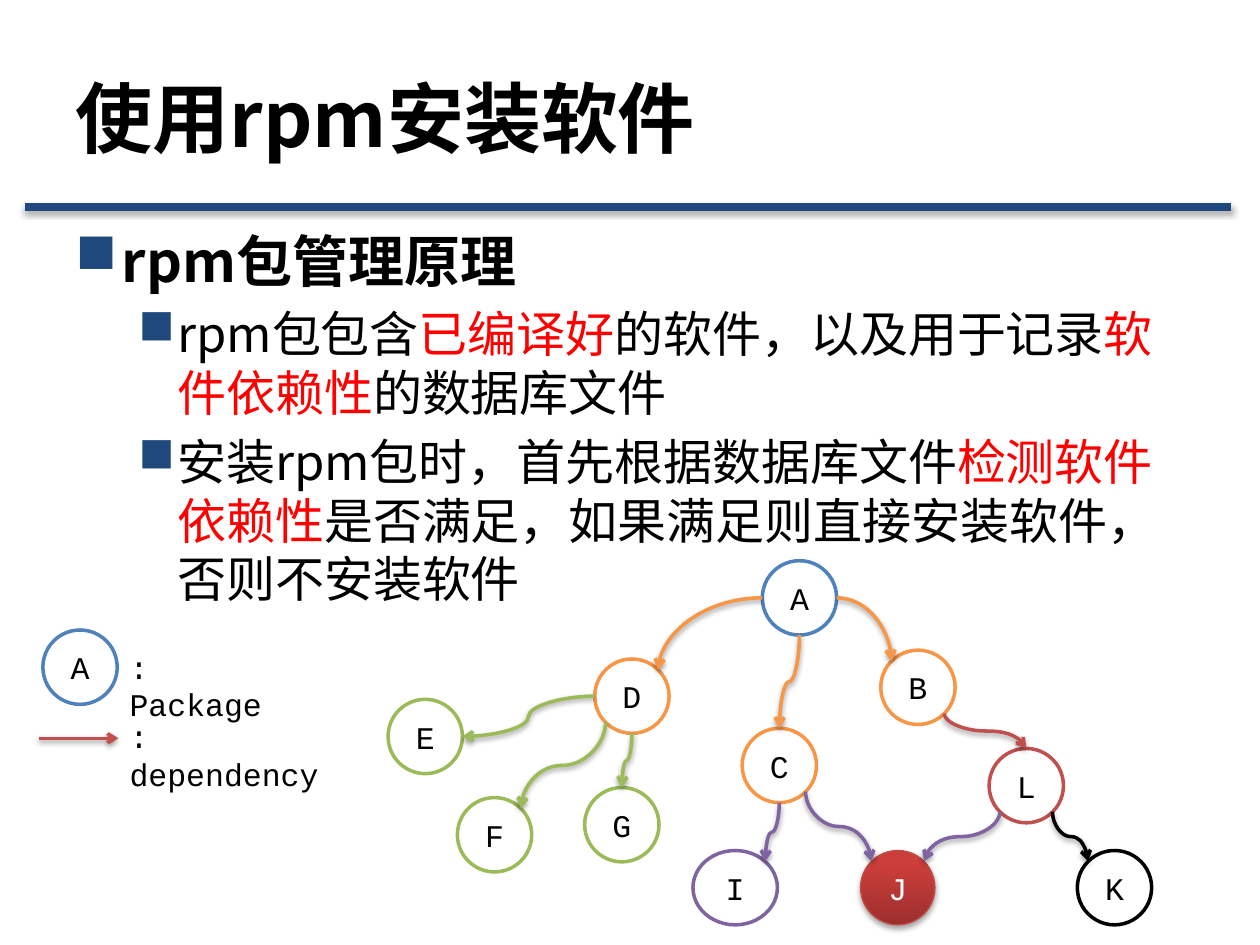
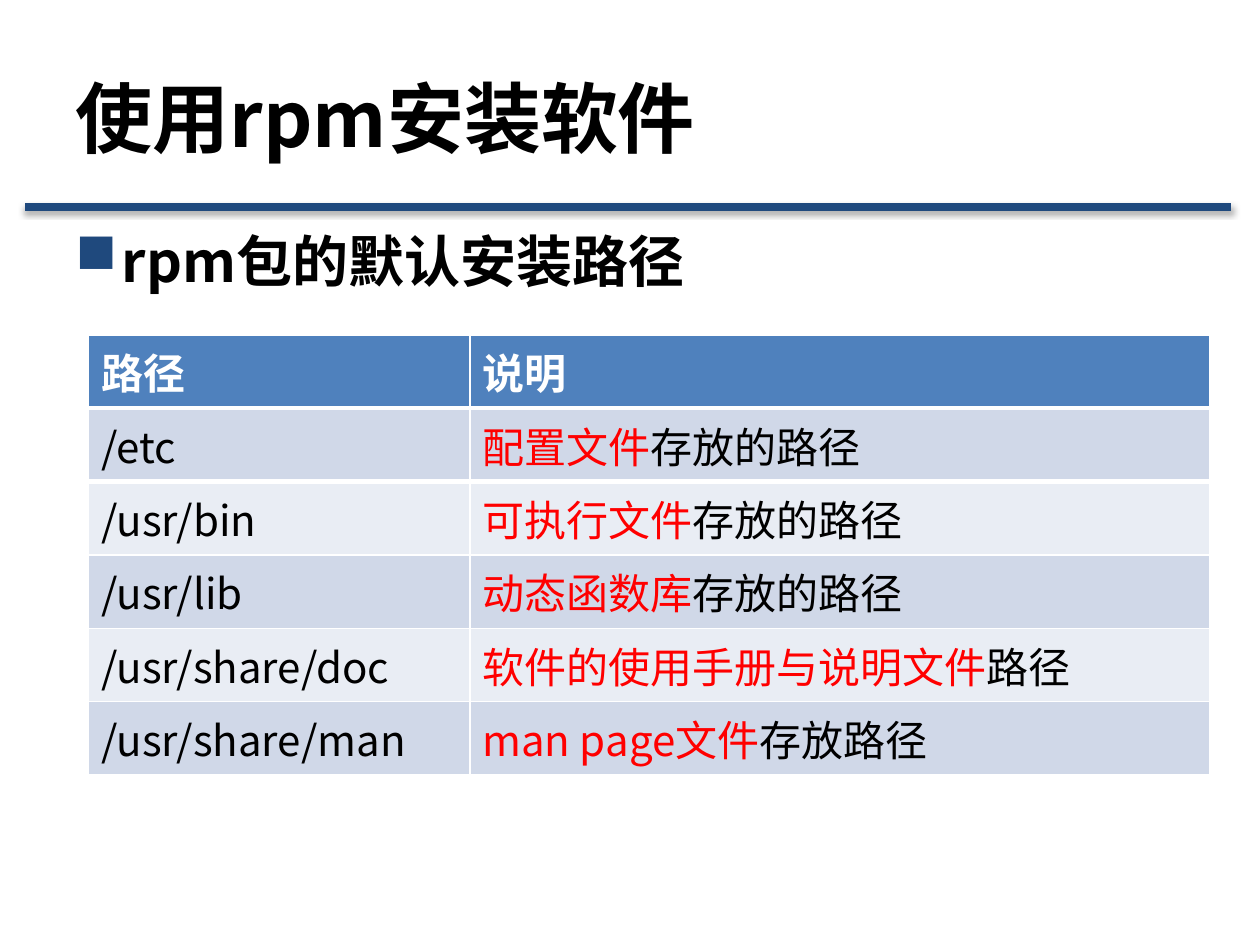
from dataclasses import dataclass
from math import sqrt

from lxml.etree import Element, SubElement
from pptx import Presentation
from pptx.dml.color import RGBColor
from pptx.enum.shapes import MSO_CONNECTOR, MSO_SHAPE
from pptx.enum.text import MSO_ANCHOR, PP_ALIGN
from pptx.oxml.ns import qn
from pptx.util import Emu, Inches, Pt

COLUMNS, ROWS = 100, 75
CELL = Inches(0.1)
SANS, MONO = "Noto Sans CJK SC", "Courier New"
BLACK, WHITE, RED, NAVY = "000000", "FFFFFF", "FF0000", "1F497D"
BLUE, ORANGE, GREEN = "4F81BD", "F79646", "9BBB59"
PURPLE, BRICK = "8064A2", "C0504D"
BANDS = ("E9EDF4", "D0D8E8")
TITLE_FONT = {"name": SANS, "size": Pt(44), "bold": True}
BODY_FONTS = (
    {"name": SANS, "size": Pt(32), "bold": True},
    {"name": SANS, "size": Pt(28), "bold": False},
)
HEADER_FONT = {"name": SANS, "size": Pt(24), "bold": True}
CELL_FONT = {**HEADER_FONT, "bold": False}
LABEL_FONT = {"name": MONO, "size": Pt(18)}
INDENTS = ((0.37, -0.37), (0.81, -0.31))
NODE_SIZE = 5.9
DIAGONAL = sqrt(0.5)
ANCHORS = {
    "left": (-1, 0), "right": (1, 0), "top": (0, -1), "bottom": (0, 1),
    "top left": (-DIAGONAL, -DIAGONAL), "top right": (DIAGONAL, -DIAGONAL),
    "bottom left": (-DIAGONAL, DIAGONAL), "bottom right": (DIAGONAL, DIAGONAL),
}


@dataclass
class Box:
    left: float
    top: float
    width: float
    height: float

    def inner(self, left, top, width, height):
        return Box(self.left + left, self.top + top, width, height)

    def lengths(self):
        return [cells(value) for value in (self.left, self.top, self.width, self.height)]

    def anchor(self, name):
        across, down = ANCHORS[name]
        return (self.left + self.width * (1 + across) / 2,
                self.top + self.height * (1 + down) / 2)


TITLE_BOX = Box(5, 3, 90, 12.5)
BODY_BOX = Box(5, 17.5, 90, 49.5)
TABLE_BOX = Box(7.03, 26.57, 89, 34.95)
DIAGRAM_BOX = Box(30.8, 44.5, 60.6, 28.9)
LEGEND_BOX = Box(3.1, 50, 25, 10.4)


def cells(count):
    return Emu(round(count * CELL))


def color(value):
    return RGBColor.from_string(value)


def apply_format(target, values):
    for name, value in values.items():
        setattr(target, name, value)


def add_runs(paragraph, runs, font, base=BLACK):
    for number, text in enumerate(runs):
        run = paragraph.add_run()
        run.text = text
        apply_format(run.font, font)
        run.font.color.rgb = color(RED if number % 2 else base)
        SubElement(run.font._element, qn("a:ea"), typeface=font["name"])


def add_shadow(shape, alpha, distance):
    properties = shape._element.spPr
    effects = properties.find(qn("a:effectLst"))
    if effects is None:
        effects = SubElement(properties, qn("a:effectLst"))
    shadow = SubElement(effects, qn("a:outerShdw"), blurRad="40000",
                        dist=str(distance), dir="5400000", rotWithShape="0")
    shade = SubElement(shadow, qn("a:srgbClr"), val=BLACK)
    SubElement(shade, qn("a:alpha"), val=str(alpha * 1000))


def add_text_box(slide, box, anchor=MSO_ANCHOR.TOP):
    frame = slide.shapes.add_textbox(*box.lengths()).text_frame
    apply_format(frame, {"word_wrap": True, "vertical_anchor": anchor})
    return frame


def add_line(slide, kind, start, end, line_color, width):
    points = [cells(value) for value in (*start, *end)]
    connector = slide.shapes.add_connector(kind, *points)
    connector.line.color.rgb = color(line_color)
    connector.line.width = Pt(width)
    return connector


def add_arrow(slide, start, end, line_color, route="across"):
    if route == "down":
        run, drop = end[0] - start[0], end[1] - start[1]
        middle = ((start[0] + end[0]) / 2, (start[1] + end[1]) / 2)
        side = 1 if run < 0 else -1
        start = (middle[0] - side * drop / 2, middle[1] - abs(run) / 2)
        end = (middle[0] + side * drop / 2, middle[1] + abs(run) / 2)
    arrow = add_line(slide, MSO_CONNECTOR.CURVE, start, end, line_color, 2)
    properties = arrow._element.spPr
    if route == "down":
        properties.find(qn("a:xfrm")).set("rot", str((90 if side > 0 else 270) * 60000))
    if route == "corner":
        properties.find(qn("a:prstGeom")).set("prst", "curvedConnector2")
    SubElement(properties.find(qn("a:ln")), qn("a:tailEnd"), type="arrow")
    add_shadow(arrow, 38, 20000)


def add_package(slide, box, letter, line_color, solid=False):
    shape = slide.shapes.add_shape(MSO_SHAPE.OVAL, *box.lengths())
    shape.shadow.inherit = False
    shape.line.color.rgb = color(line_color)
    shape.line.width = Pt(0.75 if solid else 2)
    if solid:
        shape.fill.gradient()
        shape.fill.gradient_angle = 90
        for stop, position, shade in zip(shape.fill.gradient_stops, (0, 0.8), ("9C2F2D", "CB3E3A")):
            stop.position = position
            stop.color.rgb = color(shade)
        add_shadow(shape, 35, 23000)
    else:
        shape.fill.solid()
        shape.fill.fore_color.rgb = color(WHITE)
    shape.text_frame.vertical_anchor = MSO_ANCHOR.MIDDLE
    paragraph = shape.text_frame.paragraphs[0]
    paragraph.alignment = PP_ALIGN.CENTER
    add_runs(paragraph, [letter], LABEL_FONT, WHITE if solid else BLACK)


def add_body(slide, box, lines):
    frame = add_text_box(slide, box)
    for number, (level, runs) in enumerate(lines):
        paragraph = frame.add_paragraph() if number else frame.paragraphs[0]
        font = BODY_FONTS[level]
        apply_format(paragraph, {"level": level, "space_before": Pt(font["size"].pt * 0.2)})
        properties = paragraph._p.get_or_add_pPr()
        for name, value in zip(("marL", "indent"), INDENTS[level]):
            properties.set(name, str(Inches(value)))
        bullet_color = SubElement(properties, qn("a:buClr"))
        SubElement(bullet_color, qn("a:srgbClr"), val=NAVY)
        SubElement(properties, qn("a:buFont"), typeface="Wingdings", charset="2")
        SubElement(properties, qn("a:buChar"), char="n")
        add_runs(paragraph, runs, font)


def add_base_slide(presentation, title, lines):
    slide = presentation.slides.add_slide(presentation.slide_layouts[6])
    band = add_line(slide, MSO_CONNECTOR.STRAIGHT, (2, 16.4), (97.7, 16.4), NAVY, 4.5)
    add_shadow(band, 35, 23000)
    frame = add_text_box(slide, TITLE_BOX, MSO_ANCHOR.MIDDLE)
    add_runs(frame.paragraphs[0], [title], TITLE_FONT)
    add_body(slide, BODY_BOX, lines)
    return slide


def add_diagram(slide, box):
    packages = (
        ("A", 29.7, 0, BLUE), ("D", 16.4, 7.8, ORANGE), ("C", 28.1, 13.3, ORANGE),
        ("B", 39.1, 7.1, ORANGE), ("F", 5.5, 18.8, GREEN), ("G", 15.6, 18, GREEN),
        ("I", 24.2, 23, PURPLE), ("E", 0, 11, GREEN), ("J", 37.5, 23, "BF4C48"),
        ("L", 47.7, 14.9, BRICK), ("K", 54.7, 23, BLACK),
    )
    dependencies = (
        ("A", "left", "D", "top right", ORANGE, "corner"),
        ("A", "bottom", "C", "top", ORANGE, "down"),
        ("A", "right", "B", "top left", ORANGE, "corner"),
        ("D", "left", "E", "right", GREEN, "across"),
        ("D", "bottom left", "F", "top right", GREEN, "down"),
        ("D", "bottom", "G", "top", GREEN, "down"),
        ("C", "bottom", "I", "top right", PURPLE, "down"),
        ("C", "bottom right", "J", "top left", PURPLE, "down"),
        ("B", "bottom right", "L", "top", BRICK, "down"),
        ("L", "bottom right", "K", "top left", BLACK, "down"),
        ("L", "bottom left", "J", "top right", PURPLE, "down"),
    )
    places = {}
    for letter, left, top, line_color in packages:
        width = 6.7 if letter == "I" else NODE_SIZE
        places[letter] = box.inner(left, top, width, NODE_SIZE)
        add_package(slide, places[letter], letter, line_color, letter == "J")
    for source, leaving, target, entering, line_color, route in dependencies:
        add_arrow(slide, places[source].anchor(leaving),
                  places[target].anchor(entering), line_color, route)


def add_legend(slide, box):
    add_package(slide, box.inner(0.3, 0, NODE_SIZE, NODE_SIZE), "A", BLUE)
    arrow = box.inner(0, 8.6, 6.3, 0)
    add_arrow(slide, arrow.anchor("left"), arrow.anchor("right"), BRICK)
    for text, top, width in ((": Package", 0.9, 14.5), (": dependency", 6.4, 18.6)):
        frame = add_text_box(slide, box.inner(6.2, top, width, 4))
        add_runs(frame.paragraphs[0], [text], LABEL_FONT)


def add_border(cell, side, width):
    border = Element(qn(side), w=str(Pt(width)))
    SubElement(SubElement(border, qn("a:solidFill")), qn("a:srgbClr"), val=WHITE)
    cell._tc.get_or_add_tcPr().insert(0, border)


def add_path_table(slide, box, header, rows):
    content = [[[text] for text in header]]
    content += [[[location], ["", *runs]] for location, runs in rows]
    table = slide.shapes.add_table(len(content), len(header), *box.lengths()).table
    for column, share in zip(table.columns, (0.34, 0.66)):
        column.width = cells(box.width * share)
    for row_number, row in enumerate(content):
        for column_number, runs in enumerate(row):
            cell = table.cell(row_number, column_number)
            cell.fill.solid()
            cell.fill.fore_color.rgb = color(BANDS[row_number % 2] if row_number else BLUE)
            if row_number < 2:
                add_border(cell, ("a:lnB", "a:lnT")[row_number], 3)
            paragraph = cell.text_frame.paragraphs[0]
            if runs[0]:
                font, base = (CELL_FONT, BLACK) if row_number else (HEADER_FONT, WHITE)
                add_runs(paragraph, runs, font, base)
            else:
                add_runs(paragraph, runs[1:2], CELL_FONT, RED)
                add_runs(paragraph, runs[2:], CELL_FONT)


def main():
    presentation = Presentation()
    apply_format(presentation, {"slide_width": cells(COLUMNS), "slide_height": cells(ROWS)})
    title = "使用rpm安装软件"
    principle = add_base_slide(presentation, title, (
        (0, ["rpm包管理原理"]),
        (1, ["rpm包包含", "已编译好", "的软件，以及用于记录", "软件依赖性", "的数据库文件"]),
        (1, ["安装rpm包时，首先根据数据库文件", "检测软件依赖性",
             "是否满足，如果满足则直接安装软件，否则不安装软件"]),
    ))
    add_diagram(principle, DIAGRAM_BOX)
    add_legend(principle, LEGEND_BOX)
    locations = add_base_slide(presentation, title, ((0, ["rpm包的默认安装路径"]),))
    add_path_table(locations, TABLE_BOX, ("路径", "说明"), (
        ("/etc", ("配置文件", "存放的路径")),
        ("/usr/bin", ("可执行文件", "存放的路径")),
        ("/usr/lib", ("动态函数库", "存放的路径")),
        ("/usr/share/doc", ("软件的使用手册与说明文件", "路径")),
        ("/usr/share/man", ("man page文件", "存放路径")),
    ))
    presentation.save("out.pptx")


if __name__ == "__main__":
    main()
